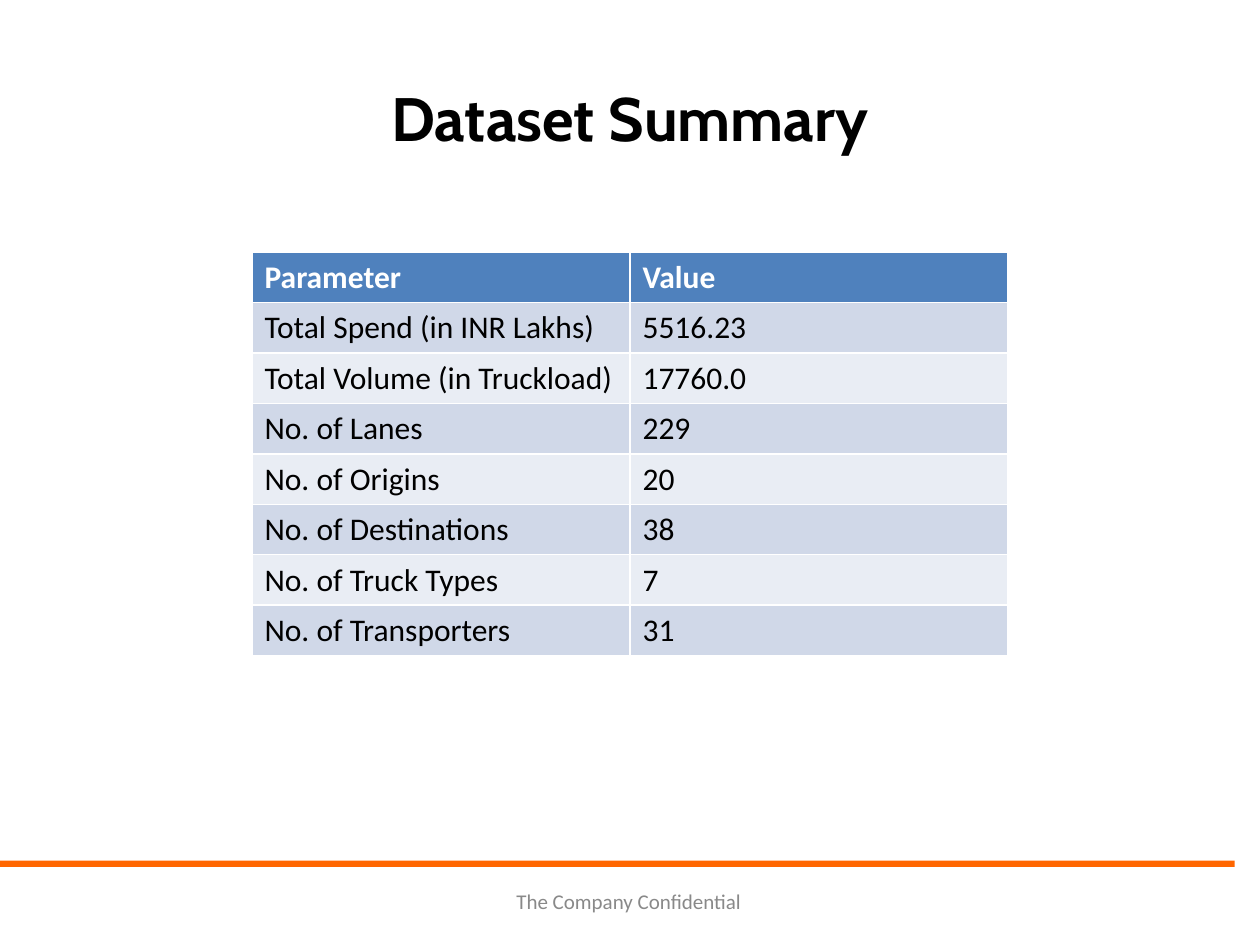
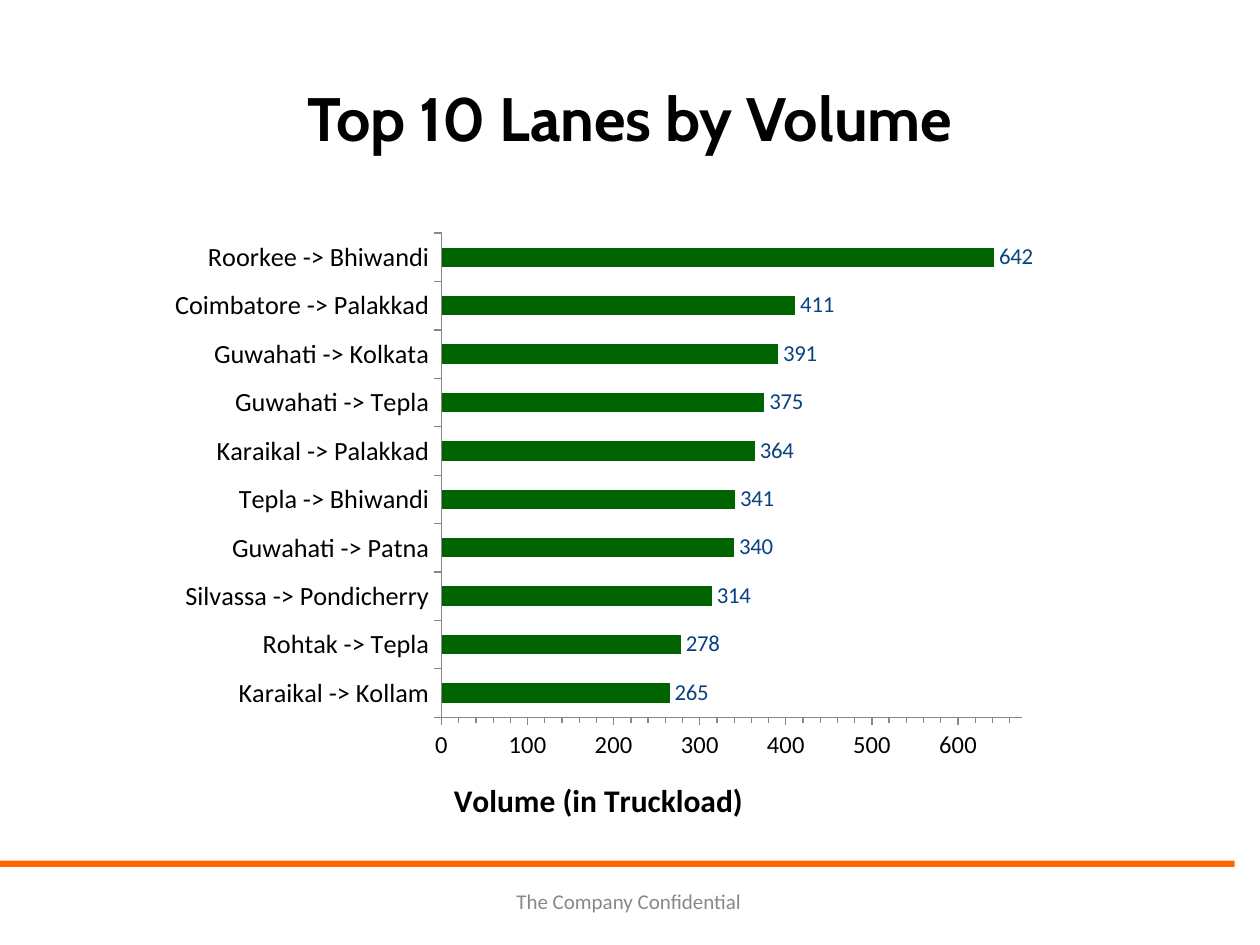
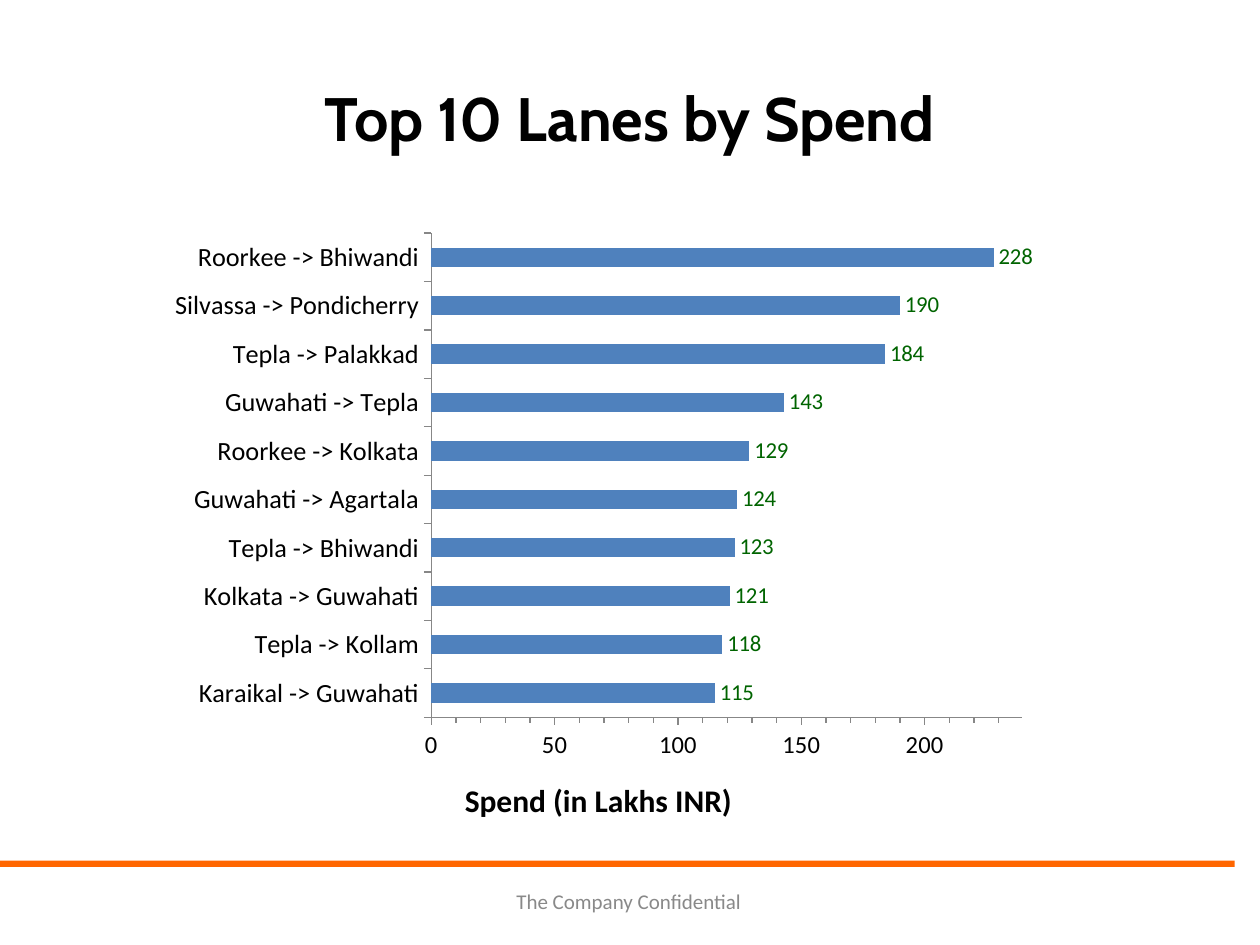
from dataclasses import dataclass

from pptx import Presentation
from pptx.chart.data import CategoryChartData
from pptx.dml.color import RGBColor
from pptx.enum.chart import XL_CHART_TYPE, XL_LABEL_POSITION, XL_TICK_MARK
from pptx.enum.shapes import MSO_SHAPE
from pptx.enum.text import MSO_ANCHOR, PP_ALIGN
from pptx.util import Inches, Pt

FOOTER = "The Company Confidential"

SUMMARY = [
    ("Parameter", "Value"),
    ("Total Spend (in INR Lakhs)", "5516.23"),
    ("Total Volume (in Truckload)", "17760.0"),
    ("No. of Lanes", "229"),
    ("No. of Origins", "20"),
    ("No. of Destinations", "38"),
    ("No. of Truck Types", "7"),
    ("No. of Transporters", "31"),
]

# Lanes run from largest to smallest, as read down the slide.
VOLUME_LANES = [
    ("Roorkee -> Bhiwandi", 642),
    ("Coimbatore -> Palakkad", 411),
    ("Guwahati -> Kolkata", 391),
    ("Guwahati -> Tepla", 375),
    ("Karaikal -> Palakkad", 364),
    ("Tepla -> Bhiwandi", 341),
    ("Guwahati -> Patna", 340),
    ("Silvassa -> Pondicherry", 314),
    ("Rohtak -> Tepla", 278),
    ("Karaikal -> Kollam", 265),
]

SPEND_LANES = [
    ("Roorkee -> Bhiwandi", 228),
    ("Silvassa -> Pondicherry", 190),
    ("Tepla -> Palakkad", 184),
    ("Guwahati -> Tepla", 143),
    ("Roorkee -> Kolkata", 129),
    ("Guwahati -> Agartala", 124),
    ("Tepla -> Bhiwandi", 123),
    ("Kolkata -> Guwahati", 121),
    ("Tepla -> Kollam", 118),
    ("Karaikal -> Guwahati", 115),
]


@dataclass(frozen=True)
class Theme:
    title_font: str = "Cabin"
    body_font: str = "Calibri"
    text: str = "000000"
    white: str = "FFFFFF"
    band: str = "FF6600"
    footer: str = "898989"
    axis: str = "878787"
    blue: str = "4F81BD"
    navy: str = "0A4280"
    green: str = "006400"
    stripes: tuple = ("D0D8E8", "E9EDF4")
    title_size: int = 35
    body_size: int = 18
    category_size: int = 15
    value_size: int = 14
    label_size: int = 13
    footer_size: int = 12


T = Theme()


def rgb(color):
    return RGBColor.from_string(color)


def set_font(font, size, color=T.text, bold=False, name=T.body_font):
    font.name, font.size, font.bold = name, Pt(size), bold
    font.color.rgb = rgb(color)


def fill_solid(fill, color):
    fill.solid()
    fill.fore_color.rgb = rgb(color)


def add_text(s, box, text):
    tf = s.shapes.add_textbox(*map(Inches, box)).text_frame
    tf.word_wrap = True
    tf.text = text
    return tf


def add_slide(prs, title):
    """Add a slide with the shared band, title and footer."""
    s = prs.slides.add_slide(prs.slide_layouts[6])
    band = s.shapes.add_shape(MSO_SHAPE.RECTANGLE, *map(Inches, (0, 6.83, 9.8, 0.05)))
    band.shadow.inherit = False
    fill_solid(band.fill, T.band)
    band.line.fill.background()

    tf = add_text(s, (0.5, 0.3, 9, 1.25), title)
    tf.vertical_anchor = MSO_ANCHOR.MIDDLE
    p = tf.paragraphs[0]
    p.alignment = PP_ALIGN.CENTER
    set_font(p.font, T.title_size, bold=True, name=T.title_font)

    tf = add_text(s, (4, 6.7, 6, 0.8), FOOTER)
    tf.margin_top = Inches(0.35)
    set_font(tf.paragraphs[0].font, T.footer_size, T.footer)
    return s


def add_summary_table(s, rows):
    row_height = 0.4
    box = (2, 2, 6, row_height * len(rows))
    table = s.shapes.add_table(len(rows), len(rows[0]), *map(Inches, box)).table
    for i, row in enumerate(rows):
        header = i == 0
        for j, text in enumerate(row):
            cell = table.cell(i, j)
            cell.text = text
            fill_solid(cell.fill, T.blue if header else T.stripes[(i - 1) % 2])
            set_font(cell.text_frame.paragraphs[0].font, T.body_size,
                     T.white if header else T.text, bold=header)


def add_lane_chart(s, lanes, axis_title, bar_color, label_color):
    data = CategoryChartData()
    names, values = zip(*reversed(lanes))
    data.categories = names
    data.add_series("Series 1", values)
    chart = s.shapes.add_chart(XL_CHART_TYPE.BAR_CLUSTERED,
                               *map(Inches, (1.25, 1.75, 7, 5)), data).chart
    chart.has_title = chart.has_legend = False
    set_font(chart.font, T.body_size)

    for axis, size in ((chart.category_axis, T.category_size),
                       (chart.value_axis, T.value_size)):
        axis.has_major_gridlines = False
        axis.major_tick_mark = XL_TICK_MARK.OUTSIDE
        axis.format.line.color.rgb = rgb(T.axis)
        set_font(axis.tick_labels.font, size)

    axis = chart.value_axis
    axis.minor_tick_mark = XL_TICK_MARK.OUTSIDE
    axis.minimum_scale = 0
    axis.maximum_scale = round(max(values) * 1.05, 1)
    tf = axis.axis_title.text_frame
    tf.text = axis_title
    set_font(tf.paragraphs[0].font, T.body_size, bold=True)

    plot = chart.plots[0]
    plot.vary_by_categories = False
    plot.gap_width = 150
    fill_solid(plot.series[0].format.fill, bar_color)
    plot.has_data_labels = True
    labels = plot.data_labels
    labels.show_value = True
    labels.position = XL_LABEL_POSITION.OUTSIDE_END
    set_font(labels.font, T.label_size, label_color)


def main():
    prs = Presentation()
    prs.slide_width, prs.slide_height = Inches(10), Inches(7.5)

    add_summary_table(add_slide(prs, "Dataset Summary"), SUMMARY)
    add_lane_chart(add_slide(prs, "Top 10 Lanes by Volume"), VOLUME_LANES,
                   "Volume (in Truckload)", T.green, T.navy)
    add_lane_chart(add_slide(prs, "Top 10 Lanes by Spend"), SPEND_LANES,
                   "Spend (in Lakhs INR)", T.blue, T.green)

    prs.save("out.pptx")


if __name__ == "__main__":
    main()
